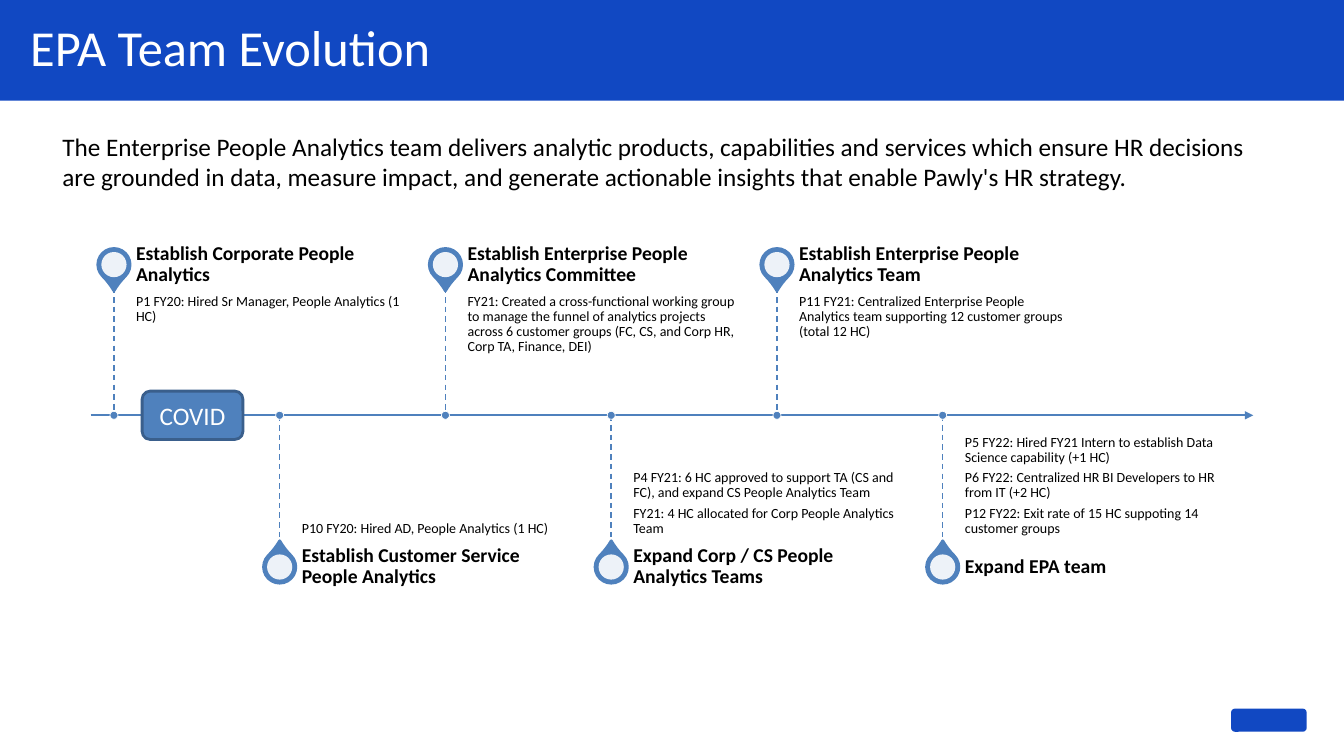
from dataclasses import dataclass

from lxml import etree
from pptx import Presentation
from pptx.dml.color import RGBColor
from pptx.enum.dml import MSO_LINE
from pptx.enum.shapes import MSO_CONNECTOR, MSO_SHAPE
from pptx.enum.text import MSO_ANCHOR, MSO_AUTO_SIZE, PP_ALIGN
from pptx.oxml.ns import qn
from pptx.util import Inches, Pt

RECTANGLE, ROUNDED = MSO_SHAPE.RECTANGLE, MSO_SHAPE.ROUNDED_RECTANGLE
OVAL, TEAR = MSO_SHAPE.OVAL, MSO_SHAPE.TEAR
STRAIGHT, DASH = MSO_CONNECTOR.STRAIGHT, MSO_LINE.DASH
TOP, MIDDLE, BOTTOM = MSO_ANCHOR.TOP, MSO_ANCHOR.MIDDLE, MSO_ANCHOR.BOTTOM
LEFT, CENTER = PP_ALIGN.LEFT, PP_ALIGN.CENTER
NO_AUTOFIT = MSO_AUTO_SIZE.NONE


@dataclass(frozen=True)
class Theme:
    font: str = "Calibri"
    brand: str = "1148C2"
    accent: str = "4F81BD"
    accent_dark: str = "3A5F8C"
    white: str = "FFFFFF"
    ink: str = "000000"
    title_size: int = 36
    lead_size: int = 18
    heading_size: int = 14
    detail_size: int = 10


AXIS_Y = 4.12
FIRST_X, LAST_X = 1.13, 9.35
HEADING_HEIGHT, DETAIL_HEIGHT, TEXT_WIDTH = 0.45, 1.27, 2.74
PIN, HOLE, DOT = 0.32, 0.25, 0.08

MILESTONES = [
    ("Establish Corporate People Analytics",
     ["P1 FY20: Hired Sr Manager, People Analytics (1 HC)"]),
    ("Establish Customer Service People Analytics",
     ["P10 FY20: Hired AD, People Analytics (1 HC)"]),
    ("Establish Enterprise People Analytics Committee",
     ["FY21: Created a cross-functional working group to manage the funnel of "
      "analytics projects across 6 customer groups (FC, CS, and Corp HR, "
      "Corp TA, Finance, DEI)"]),
    ("Expand Corp / CS People Analytics Teams",
     ["P4 FY21: 6 HC approved to support TA (CS and FC), and expand CS People "
      "Analytics Team",
      "FY21: 4 HC allocated for Corp People Analytics Team"]),
    ("Establish Enterprise People Analytics Team",
     ["P11 FY21: Centralized Enterprise People Analytics team supporting 12 "
      "customer groups (total 12 HC)"]),
    ("Expand EPA team",
     ["P5 FY22: Hired FY21 Intern to establish Data Science capability (+1 HC)",
      "P6 FY22: Centralized HR BI Developers to HR from IT (+2 HC)",
      "P12 FY22: Exit rate of 15 HC suppoting 14 customer groups"]),
]
LEAD = ("The Enterprise People Analytics team delivers analytic products, "
        "capabilities and services which ensure HR decisions are grounded in data, "
        "measure impact, and generate actionable insights that enable Pawly's HR "
        "strategy.")


class SlideBuilder:
    def __init__(self, slide, theme):
        self.slide = slide
        self.theme = theme
        self.shapes = slide.shapes

    def set_text(self, shape, paragraphs, size, color, bold=False, align=LEFT,
                 anchor=TOP, insets=(0.1, 0.05, 0.1, 0.05), stacked=False):
        """Fill a shape with text; stacked text gets tight lines and gaps."""
        frame = shape.text_frame
        frame.word_wrap = True
        frame.auto_size = NO_AUTOFIT
        frame.vertical_anchor = anchor
        (frame.margin_left, frame.margin_top,
         frame.margin_right, frame.margin_bottom) = map(Inches, insets)
        for index, text in enumerate(paragraphs):
            paragraph = frame.add_paragraph() if index else frame.paragraphs[0]
            paragraph.alignment = align
            if stacked:
                paragraph.line_spacing = 0.9
                paragraph.space_after = Pt(size * 0.35)
            run = paragraph.add_run()
            run.text = text
            run.font.name = self.theme.font
            run.font.size = Pt(size)
            run.font.bold = bold
            run.font.color.rgb = RGBColor.from_string(color)

    def title(self, text):
        heading = self.slide.shapes.title
        heading.left, heading.top = Inches(0.3), Inches(0.11)
        heading.width, heading.height = Inches(12.84), Inches(0.71)
        self.set_text(heading, [text], self.theme.title_size, self.theme.white,
                      anchor=MIDDLE, insets=(0, 0, 0, 0))

    def text(self, left, top, width, height, paragraphs, size, **style):
        box = self.shapes.add_textbox(*map(Inches, (left, top, width, height)))
        self.set_text(box, paragraphs, size, self.theme.ink, **style)

    def shape(self, kind, left, top, width, height, fill, line=None, weight=1):
        shape = self.shapes.add_shape(kind, *map(Inches, (left, top, width, height)))
        shape.shadow.inherit = False
        shape.fill.solid()
        shape.fill.fore_color.rgb = RGBColor.from_string(fill)
        if line:
            shape.line.color.rgb = RGBColor.from_string(line)
            shape.line.width = Pt(weight)
        else:
            shape.line.fill.background()
        return shape

    def disc(self, x, y, size, fill, line=None, weight=1, kind=OVAL):
        """Add a round shape centred on a point."""
        return self.shape(kind, x - size / 2, y - size / 2, size, size,
                          fill, line, weight)

    def line(self, x1, y1, x2, y2, weight, dashed=False, arrow=False):
        connector = self.shapes.add_connector(
            STRAIGHT, *map(Inches, (x1, y1, x2, y2)))
        connector.line.color.rgb = RGBColor.from_string(self.theme.accent)
        connector.line.width = Pt(weight)
        if dashed:
            connector.line.dash_style = DASH
        properties = connector._element.spPr
        if arrow:
            etree.SubElement(properties.find(qn("a:ln")), qn("a:tailEnd"),
                             type="triangle")
        etree.SubElement(properties, qn("a:effectLst"))

    def pin(self, x, y, rotation):
        accent = self.theme.accent
        drop = self.disc(x, y, PIN, accent, accent, 2, kind=TEAR)
        drop.adjustments[0] = 1.15
        drop.rotation = rotation
        hole = self.disc(x, y, HOLE, self.theme.white)
        color = hole._element.spPr.find(qn("a:solidFill"))[0]
        etree.SubElement(color, qn("a:alpha"), val="90000")

    def milestone(self, x, above, heading, details):
        theme = self.theme
        if above:
            heading_top, detail_top = 2.4, 2.85
            rotation, anchor, insets = 135, TOP, (0, 0.07, 0.07, 0.1)
            stem = detail_top, AXIS_Y
        else:
            heading_top, detail_top = 5.4, AXIS_Y
            rotation, anchor, insets = 315, BOTTOM, (0, 0.1, 0, 0.07)
            stem = AXIS_Y, heading_top
        text_left = x + 0.22
        self.pin(x, heading_top + HEADING_HEIGHT / 2, rotation)
        self.text(text_left, detail_top, TEXT_WIDTH, DETAIL_HEIGHT, details,
                  theme.detail_size, anchor=anchor, insets=insets, stacked=True)
        self.text(text_left, heading_top, TEXT_WIDTH, HEADING_HEIGHT, [heading],
                  theme.heading_size, bold=True, anchor=MIDDLE,
                  insets=(0, 0, 0.1, 0), stacked=True)
        self.line(x, stem[0], x, stem[1], 1, dashed=True)
        self.disc(x, AXIS_Y, DOT, theme.accent, theme.white, 0.5)

    def timeline(self, milestones):
        self.shapes = self.slide.shapes.add_group_shape().shapes
        self.line(0.9, AXIS_Y, 12.43, AXIS_Y, 1.5, arrow=True)
        step = (LAST_X - FIRST_X) / (len(milestones) - 1)
        for index, (heading, details) in enumerate(milestones):
            self.milestone(FIRST_X + index * step, index % 2 == 0, heading, details)
        self.shapes = self.slide.shapes


def main():
    deck = Presentation()
    deck.slide_width, deck.slide_height = Inches(13.33), Inches(7.5)
    theme = Theme()
    slide = deck.slides.add_slide(deck.slide_layouts[5])
    builder = SlideBuilder(slide, theme)

    band = builder.shape(RECTANGLE, 0, 0, 13.33, 1, theme.brand)
    slide.shapes.title._element.addprevious(band._element)
    builder.title("EPA Team Evolution")
    builder.shape(ROUNDED, 12.21, 7.03, 0.75, 0.23, theme.brand)

    builder.timeline(MILESTONES)
    covid = builder.shape(ROUNDED, 1.41, 3.88, 1, 0.48, theme.accent,
                          theme.accent_dark, 2)
    builder.set_text(covid, ["COVID"], theme.lead_size, theme.white,
                     align=CENTER, anchor=MIDDLE)
    builder.text(0.52, 1.25, 12.3, 0.71, [LEAD], theme.lead_size)
    deck.save("out.pptx")


if __name__ == "__main__":
    main()
